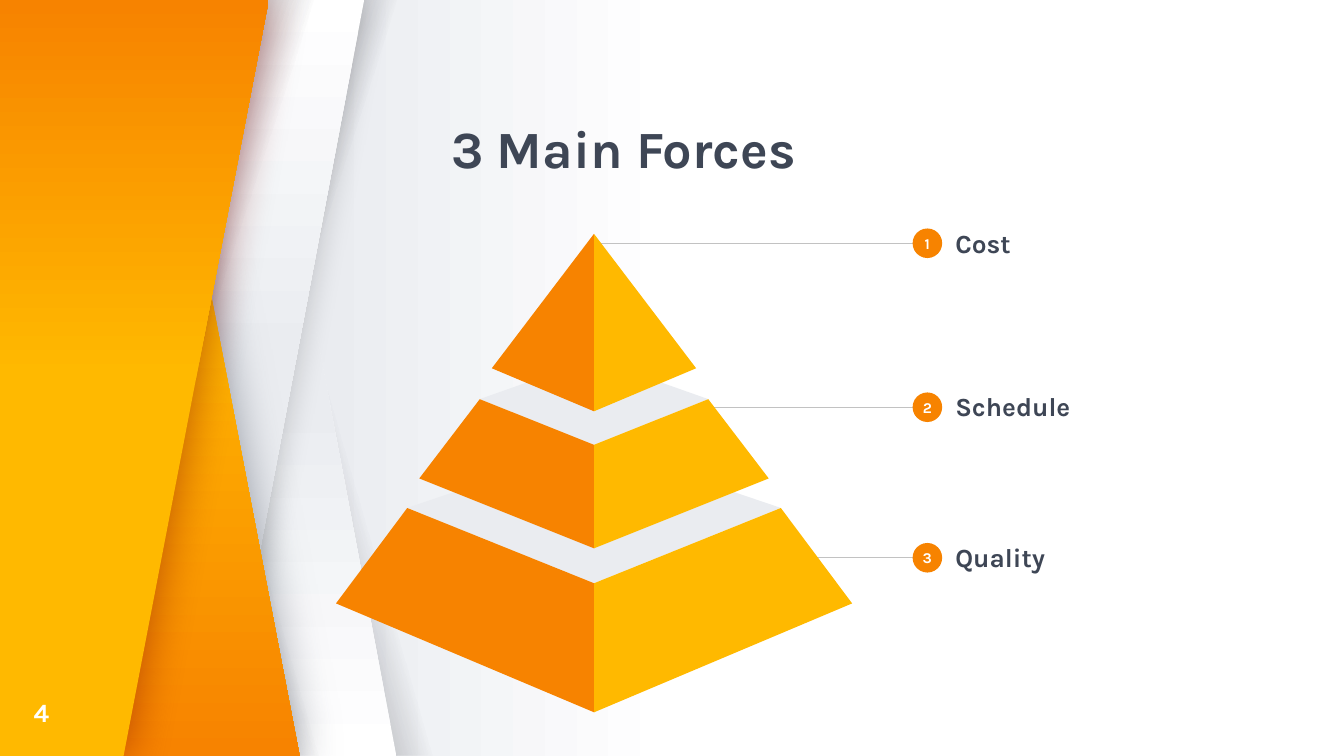
from dataclasses import dataclass

import pptx
import pptx.dml.color
import pptx.enum.shapes
import pptx.enum.text
import pptx.oxml
import pptx.oxml.ns
import pptx.util
from lxml import etree

Inches = pptx.util.Inches
Pt = pptx.util.Pt
RGBColor = pptx.dml.color.RGBColor
qn = pptx.oxml.ns.qn
Shapes = pptx.enum.shapes.MSO_SHAPE
Anchor = pptx.enum.text.MSO_ANCHOR
Align = pptx.enum.text.PP_ALIGN

WIDTH = 10
HEIGHT = WIDTH * 9 / 16
FONT = "Karla"
ORANGE = RGBColor(0xF7, 0x83, 0x00)
YELLOW = RGBColor(0xFF, 0xB9, 0x00)
SLATE = RGBColor(0x3E, 0x46, 0x55)
DARK = RGBColor(0x27, 0x25, 0x2C)
PALE = RGBColor(0xEA, 0xEC, 0xF0)
WHITE = RGBColor(0xFF, 0xFF, 0xFF)
BLACK = RGBColor(0, 0, 0)
MAROON = RGBColor(0x7E, 0x08, 0x08)
LEADER_GREY = RGBColor(0xC2, 0xC2, 0xC2)


@dataclass(frozen=True)
class Stop:
    percent: float
    color: RGBColor
    alpha: float = 100


@dataclass(frozen=True)
class Glow:
    color: RGBColor
    alpha: float
    blur: float


@dataclass(frozen=True)
class Tier:
    """Half widths and heights of one pyramid tier; no back means no lid."""
    top_half: float
    top_y: float
    top_front: float
    base_half: float
    base_y: float
    base_front: float
    back: float | None = None


@dataclass(frozen=True)
class Force:
    name: str
    y: float
    leader_start: float


CENTER = 4.42
TIERS = [
    Tier(1.39, 3.78, 4.34, 1.92, 4.49, 5.3, 3.31),
    Tier(0.85, 2.97, 3.31, 1.3, 3.56, 4.08, 2.67),
    Tier(0, 1.74, 1.74, 0.76, 2.74, 3.06),
]
FORCES = [
    Force("Cost", 1.81, 4.42),
    Force("Schedule", 3.03, 5.21),
    Force("Quality", 4.15, 5.74),
]
PANEL_STOPS = [Stop(0, WHITE), Stop(47, PALE), Stop(100, PALE)]


def add_color(parent, color: RGBColor, alpha: float) -> None:
    node = etree.SubElement(parent, qn("a:srgbClr"), val=str(color))
    if alpha < 100:
        etree.SubElement(node, qn("a:alpha"), val=str(round(alpha * 1000)))


def set_gradient(fill, properties, stops: list[Stop], angle: int) -> None:
    fill.solid()
    gradient = etree.Element(qn("a:gradFill"), rotWithShape="1")
    stop_list = etree.SubElement(gradient, qn("a:gsLst"))
    for stop in stops:
        node = etree.SubElement(stop_list, qn("a:gs"), pos=str(stop.percent * 1000))
        add_color(node, stop.color, stop.alpha)
    etree.SubElement(gradient, qn("a:lin"), ang=str(angle * 60000), scaled="0")
    properties.replace(properties.find(qn("a:solidFill")), gradient)


def add_glow(shape, glow: Glow) -> None:
    effects = shape.element.spPr.find(qn("a:effectLst"))
    shadow = etree.SubElement(effects, qn("a:outerShdw"), dist="0", dir="0", algn="ctr",
                              blurRad=str(int(Pt(glow.blur))), rotWithShape="0")
    add_color(shadow, glow.color, glow.alpha)


def add_band(slide, left: float, slant: float, stops: list[Stop], angle: int,
             flipped: bool = False):
    band = slide.shapes.add_shape(Shapes.PARALLELOGRAM, Inches(left), 0,
                                  Inches(2.3), Inches(HEIGHT))
    band.adjustments[0] = slant
    band.shadow.inherit = False
    band.line.fill.background()
    if flipped:
        band.element.spPr.xfrm.set("flipH", "1")
    set_gradient(band.fill, band.element.spPr, stops, angle)
    return band


def add_shade(slide, left: float, flipped: bool) -> None:
    fade = 55 if flipped else 56
    stops = [Stop(0, SLATE), Stop(13, SLATE), Stop(fade, DARK, 0), Stop(100, DARK, 0)]
    add_band(slide, left, 0.753, stops, 196 if flipped else 18, flipped)


def add_outline(slide, points: list[tuple[float, float]], color: RGBColor):
    corners = [(Inches(x), Inches(y)) for x, y in points]
    builder = slide.shapes.build_freeform(*corners[0])
    builder.add_line_segments(corners[1:], close=True)
    outline = builder.convert_to_shape()
    outline.shadow.inherit = False
    outline.line.fill.background()
    outline.fill.solid()
    outline.fill.fore_color.rgb = color
    return outline


def add_panel(slide, points: list[tuple[float, float]], middle: int, angle: int,
              glow: Glow) -> None:
    panel = add_outline(slide, points, YELLOW)
    stops = [Stop(0, YELLOW), Stop(middle, YELLOW), Stop(100, ORANGE)]
    set_gradient(panel.fill, panel.element.spPr, stops, angle)
    add_glow(panel, glow)


def write(frame, text: str, size: float, color: RGBColor, anchor=Anchor.MIDDLE,
          align=Align.LEFT, inset: float = 0):
    frame.word_wrap = True
    frame.auto_size = pptx.enum.text.MSO_AUTO_SIZE.NONE
    frame.vertical_anchor = anchor
    frame.margin_left = frame.margin_right = Inches(inset)
    frame.margin_top = frame.margin_bottom = Inches(inset)
    paragraph = frame.paragraphs[0]
    paragraph.alignment = align
    run = paragraph.add_run()
    run.text = text
    run.font.name, run.font.size, run.font.bold = FONT, Pt(size), True
    run.font.color.rgb = color
    return paragraph


def add_label(slide, left: float, top: float, width: float, height: float,
              text: str, color: RGBColor, inset: float = 0) -> None:
    label = slide.shapes.add_textbox(*map(Inches, (left, top, width, height)))
    write(label.text_frame, text, 14, color, inset=inset)


def add_force(slide, number: int, force: Force) -> None:
    y = Inches(force.y)
    leader = slide.shapes.add_connector(pptx.enum.shapes.MSO_CONNECTOR.STRAIGHT,
                                        Inches(force.leader_start), y, Inches(6.93), y)
    leader.line.color.rgb = LEADER_GREY
    leader.line.width = Pt(0.75)
    etree.SubElement(leader.element.spPr, qn("a:effectLst"))

    size = Inches(0.22)
    badge = slide.shapes.add_shape(Shapes.OVAL, Inches(6.79), y - size // 2, size, size)
    badge.shadow.inherit = False
    badge.line.fill.background()
    badge.fill.solid()
    badge.fill.fore_color.rgb = ORANGE
    write(badge.text_frame, str(number), 8, WHITE, align=Align.CENTER)
    add_label(slide, 7.01, force.y - 0.44, 2.46, 0.87, force.name, SLATE, inset=0.1)


def add_tier(slide, tier: Tier) -> None:
    if tier.back is not None:
        add_outline(slide, [(CENTER - tier.top_half, tier.top_y), (CENTER, tier.top_front),
                            (CENTER + tier.top_half, tier.top_y), (CENTER, tier.back)], PALE)
    for side, color in ((-1, ORANGE), (1, YELLOW)):
        add_outline(slide, [(CENTER + side * tier.top_half, tier.top_y),
                            (CENTER + side * tier.base_half, tier.base_y),
                            (CENTER, tier.base_front), (CENTER, tier.top_front)], color)


def main() -> None:
    deck = pptx.Presentation()
    deck.slide_width, deck.slide_height = Inches(WIDTH), Inches(HEIGHT)
    slide = deck.slides.add_slide(deck.slide_layouts[5])

    # Background
    fill = slide.background.fill
    fill.solid()
    set_gradient(fill, slide.element.find(".//" + qn("p:bgPr")),
                 [Stop(0, WHITE), Stop(50, WHITE), Stop(76, PALE), Stop(100, PALE)], 180)

    # Folded panels on the left, each over its shade
    add_shade(slide, 1.07, flipped=True)
    add_band(slide, 0.65, 0.463, PANEL_STOPS, 270, flipped=True)
    add_shade(slide, 0.65, flipped=False)
    white_panel = add_band(slide, 0.41, 0.463, PANEL_STOPS, 90)
    add_glow(white_panel, Glow(BLACK, 20, 16.9))
    add_shade(slide, 0.22, flipped=True)
    add_panel(slide, [(0, 0), (0, HEIGHT), (2.23, HEIGHT), (1.15, 0)], 37, 90,
              Glow(SLATE, 50, 24.8))
    add_shade(slide, 0.03, flipped=False)
    add_panel(slide, [(0, HEIGHT), (0, 0), (2, 0), (0.92, HEIGHT)], 50, 270,
              Glow(MAROON, 50, 24.8))

    # Title and slide number
    title = slide.shapes.title
    title.left, title.top, title.width, title.height = map(Inches, (3.26, 0.91, 5.98, 0.43))
    heading = write(title.text_frame, " 3 Main Forces", 28, SLATE, Anchor.BOTTOM)
    heading.line_spacing = 0.9
    add_label(slide, 0.25, 5.16, 0.4, 0.27, "4", WHITE)

    # Forces, then the pyramid over their leader lines
    for number, force in enumerate(FORCES, start=1):
        add_force(slide, number, force)
    for tier in TIERS:
        add_tier(slide, tier)

    deck.save("out.pptx")


if __name__ == "__main__":
    main()
